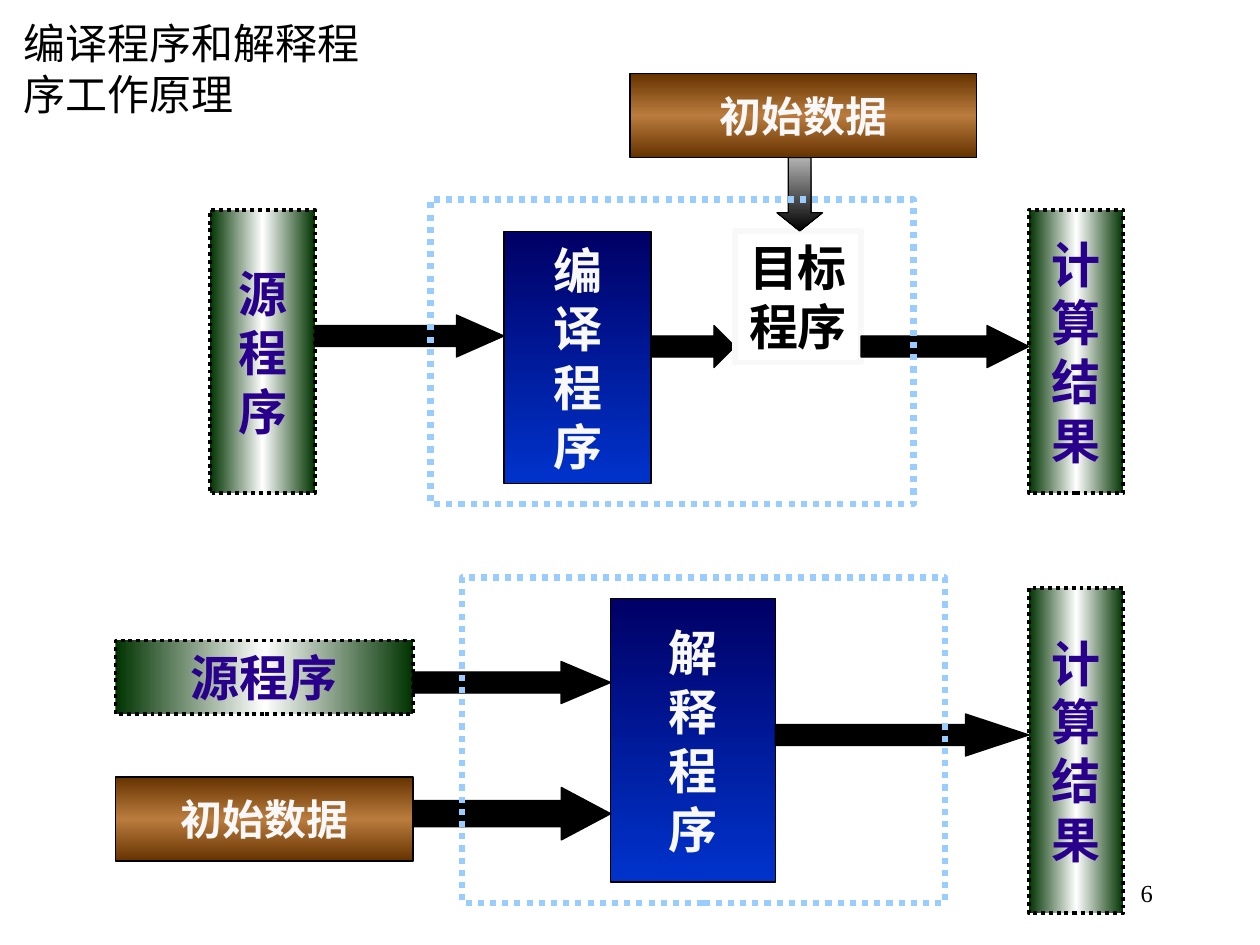
"""Build a slide comparing how compilers and interpreters work."""
from copy import deepcopy

from lxml import etree
from pptx import Presentation
from pptx.dml.color import RGBColor
from pptx.enum import dml, shapes, text
from pptx.oxml import ns
from pptx.util import Pt

SANS, SERIF = "Noto Sans CJK SC", "Times New Roman"
COLORS = {
    "black": "000000", "white": "FFFFFF", "pale": "F8F8F8",
    "grey": "B2B2B2", "green": "003300", "violet": "28008C",
    "navy": "000066", "blue": "0033CC", "brown": "663300",
    "tan": "BA7C3E", "sky": "99CCFF",
}
KIND = shapes.MSO_SHAPE
LEFT, MID, RIGHT = text.PP_ALIGN.LEFT, text.PP_ALIGN.CENTER, text.PP_ALIGN.RIGHT
DATA = ("green", "white", "green")
TOOL = ("navy", "blue")
INPUT = ("brown", "tan", "brown")


def color(name):
    return RGBColor.from_string(COLORS[name])


def write(frame, words, size, tint, face=SERIF, bold=False, align=MID,
          wrap=False, anchor=text.MSO_ANCHOR.MIDDLE):
    frame.text = words
    frame.word_wrap = wrap
    frame.auto_size = text.MSO_AUTO_SIZE.NONE
    frame.vertical_anchor = anchor
    for para in frame.paragraphs:
        para.alignment = align
        for run in para.runs:
            font = run.font
            font.name, font.size, font.bold = face, Pt(size), bold
            font.color.rgb = color(tint)
            east = etree.SubElement(run._r.get_or_add_rPr(), ns.qn("a:ea"))
            east.set("typeface", SANS)


def shade(shape, tints, angle):
    fill = shape.fill
    fill.gradient()
    fill.gradient_angle = angle
    stops = shape.element.spPr.find(".//" + ns.qn("a:gsLst"))
    for _ in tints[2:]:
        stops.append(deepcopy(stops[-1]))
    for i, (stop, tint) in enumerate(zip(fill.gradient_stops, tints)):
        stop.position = i / (len(tints) - 1)
        stop.color.rgb = color(tint)


def add_box(group, area, kind=KIND.RECTANGLE, tints=(), angle=270,
            edge="black", width=0.75, dash=False):
    box = group.shapes.add_shape(kind, *map(Pt, area))
    box.shadow.inherit = False
    if len(tints) > 1:
        shade(box, tints, angle)
    elif tints:
        box.fill.solid()
        box.fill.fore_color.rgb = color(tints[0])
    else:
        box.fill.background()
    box.line.color.rgb = color(edge)
    box.line.width = Pt(width)
    if dash:
        box.line.dash_style = dml.MSO_LINE.ROUND_DOT
    return box


def add_data(group, area, words):
    box = add_box(group, area, tints=DATA, angle=180, width=2.25, dash=True)
    write(box.text_frame, words, 28, "violet", bold=True)


def add_tool(group, area, words, face):
    box = add_box(group, area, tints=TOOL)
    write(box.text_frame, words, 28, "pale", face, bold=True)


def add_input(group, area):
    box = add_box(group, area, KIND.FLOWCHART_PROCESS, INPUT)
    write(box.text_frame, "初始数据", 24, "pale", bold=True)


def add_arrow(group, area, head, kind=KIND.RIGHT_ARROW, tints=("black",)):
    arrow = add_box(group, area, kind, tints)
    arrow.adjustments[0] = 0.5
    arrow.adjustments[1] = head


def add_frame(group, area):
    add_box(group, area, edge="sky", width=3.5, dash=True)


def stack(words):
    return "\n".join(words)


def add_title(slide):
    title = slide.shapes.title
    title.left, title.top, title.width, title.height = map(Pt, (6, 6, 224, 66))
    write(title.text_frame, "编译程序和解释程序工作原理", 24, "black", SANS,
          align=LEFT, wrap=True)


def add_number(slide):
    box = slide.shapes.add_textbox(*map(Pt, (516, 492, 150, 36)))
    write(box.text_frame, "6", 14, "black", align=RIGHT, wrap=True)


def draw_compiler(slide):
    group = slide.shapes.add_group_shape()
    add_arrow(group, (372, 186, 48, 24), 0.5)
    goal = add_box(group, (420, 132, 72, 75), edge="pale", width=3)
    write(goal.text_frame, "目标程序", 28, "black", SANS, bold=True,
          wrap=True, anchor=text.MSO_ANCHOR.TOP)
    add_data(group, (120, 120, 60, 162), stack("源程序"))
    add_tool(group, (288, 132.5, 84, 144), stack("编译程序"), SANS)
    add_arrow(group, (180, 180, 108, 24), 1.13)
    add_arrow(group, (492, 186, 96, 24), 1)
    add_arrow(group, (444, 90, 26, 42), 0.4, KIND.DOWN_ARROW,
              ("grey", "black"))
    add_input(group, (360, 42, 198, 48))
    add_data(group, (588, 120, 54, 162), stack("计算结果"))
    add_frame(group, (246, 114, 276, 174))


def draw_interpreter(slide):
    group = slide.shapes.add_group_shape()
    add_data(group, (66, 366, 170, 42), "源程序")
    add_tool(group, (349, 342, 94, 162), stack("解释程序"), SERIF)
    add_arrow(group, (443, 408, 145, 24), 1.51)
    add_arrow(group, (236, 450, 113, 30), 0.94)
    add_arrow(group, (236, 378, 113, 24), 1.18)
    add_input(group, (66, 444, 170, 48))
    add_data(group, (588, 336, 54, 186), stack("计算结果"))
    add_frame(group, (264, 330, 276, 186))


def main():
    deck = Presentation()
    deck.slide_width, deck.slide_height = Pt(720), Pt(540)
    slide = deck.slides.add_slide(deck.slide_layouts[5])
    add_title(slide)
    draw_compiler(slide)
    draw_interpreter(slide)
    add_number(slide)
    deck.save("out.pptx")


if __name__ == "__main__":
    main()
